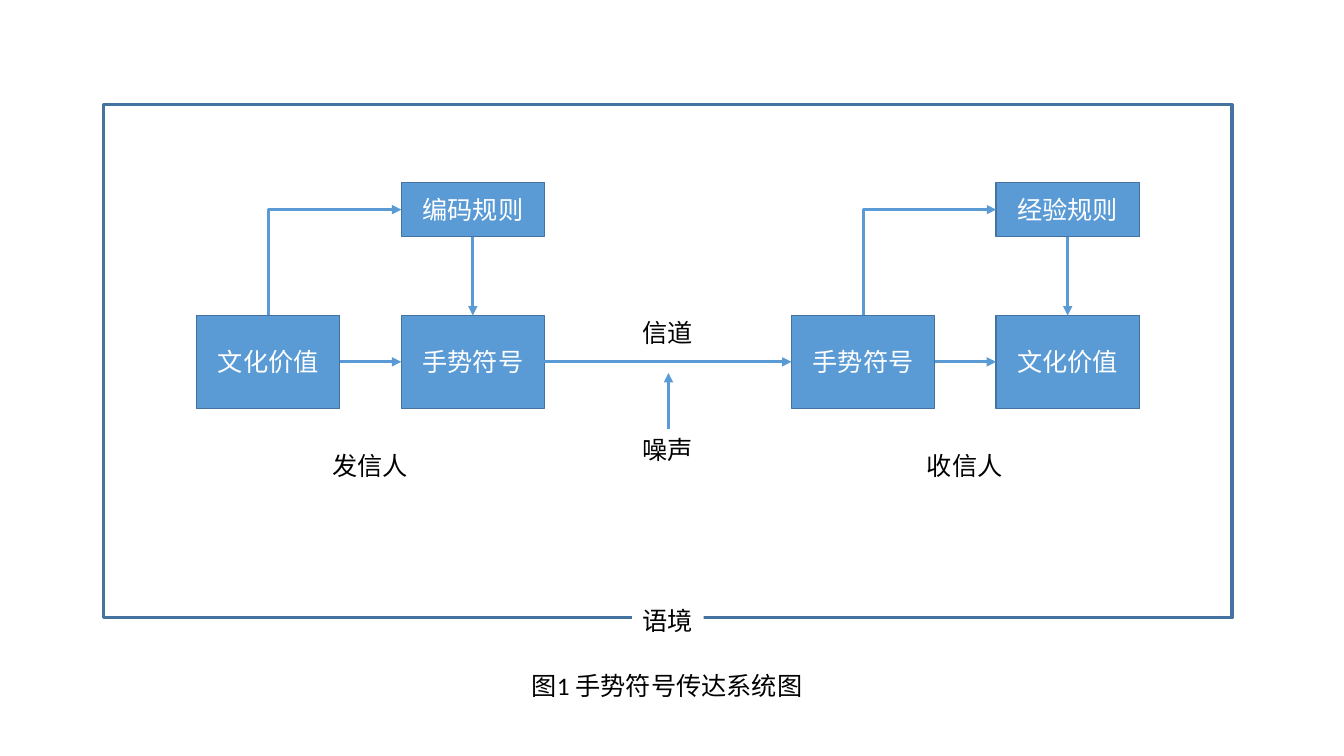
from dataclasses import dataclass

from lxml import etree
from pptx import Presentation
from pptx.dml.color import RGBColor
from pptx.enum.shapes import MSO_CONNECTOR, MSO_SHAPE
from pptx.enum.text import MSO_ANCHOR, MSO_AUTO_SIZE, PP_ALIGN
from pptx.oxml.ns import qn
from pptx.util import Inches, Pt

RECT = MSO_SHAPE.RECTANGLE
STRAIGHT, ELBOW = MSO_CONNECTOR.STRAIGHT, MSO_CONNECTOR.ELBOW
CENTER, MIDDLE = PP_ALIGN.CENTER, MSO_ANCHOR.MIDDLE
FIT_SHAPE = MSO_AUTO_SIZE.SHAPE_TO_FIT_TEXT
TOP, LEFT, BOTTOM, RIGHT = range(4)


@dataclass(frozen=True)
class Theme:
    """Colours, type and line widths of the diagram."""
    blue: RGBColor = RGBColor(0x5B, 0x9B, 0xD5)
    edge: RGBColor = RGBColor(0x43, 0x73, 0x9E)
    white: RGBColor = RGBColor(0xFF, 0xFF, 0xFF)
    black: RGBColor = RGBColor(0, 0, 0)
    font: str = "Calibri"
    size: Pt = Pt(18)
    thin: Pt = Pt(1)
    thick: Pt = Pt(2.25)


THEME = Theme()
NODE_W, NODE_H, RULE_H = 1.42, 0.92, 0.54
LABEL_H = 0.4


def set_text(sp, text, color):
    """Write one line of text in the theme's type."""
    tf = sp.text_frame
    tf.text = text
    font = tf.paragraphs[0].runs[0].font
    font.name, font.size, font.color.rgb = THEME.font, THEME.size, color
    return tf


def add_node(s, text, x, y, h):
    """Draw a filled box with centred text."""
    sp = s.shapes.add_shape(RECT, Inches(x), Inches(y), Inches(NODE_W), Inches(h))
    sp.shadow.inherit = False
    sp.fill.solid()
    sp.fill.fore_color.rgb = THEME.blue
    sp.line.color.rgb, sp.line.width = THEME.edge, THEME.thin
    tf = set_text(sp, text, THEME.white)
    tf.vertical_anchor = MIDDLE
    tf.paragraphs[0].alignment = CENTER
    return sp


def add_label(s, text, center, y, w, wrap=False):
    """Place black text in a box centred on a given x."""
    sp = s.shapes.add_textbox(Inches(center - w / 2), Inches(y), Inches(w), Inches(LABEL_H))
    tf = set_text(sp, text, THEME.black)
    tf.word_wrap, tf.auto_size = wrap, FIT_SHAPE
    return sp


def add_arrow(s, start, side, kind=STRAIGHT):
    """Start an arrow at the middle of a shape's side."""
    c = s.shapes.add_connector(kind, 0, 0, 0, 0)
    c.line.color.rgb, c.line.width = THEME.blue, THEME.thick
    ln = c.line._get_or_add_ln()
    etree.SubElement(ln, qn("a:tailEnd"), type="triangle")
    etree.SubElement(c._element.spPr, qn("a:effectLst"))
    c.begin_connect(start, side)
    return c


def add_corner_arrow(s, start, end):
    """Run an arrow up from a box's top and right to another's left side."""
    c = add_arrow(s, start, TOP, ELBOW)
    c.end_connect(end, LEFT)
    x, y, w, h = c.left, c.top, c.width, c.height
    c.left, c.top = x + (w - h) // 2, y + (h - w) // 2
    c.width, c.height = h, w
    xfrm = c._element.spPr.find(qn("a:xfrm"))
    for name, value in (("rot", "5400000"), ("flipH", "1"), ("flipV", "1")):
        xfrm.set(name, value)
    c._element.spPr.find(qn("a:prstGeom")).set("prst", "bentConnector2")


def add_party(s, box, source, target, rule, role):
    """Draw one side of the exchange and return its two lower boxes."""
    x, y, w, h = box
    right = x + w - NODE_W
    node_y = y + h - NODE_H
    first = add_node(s, source, x, node_y, NODE_H)
    second = add_node(s, target, right, node_y, NODE_H)
    guide = add_node(s, rule, right, y, RULE_H)
    add_arrow(s, first, RIGHT).end_connect(second, LEFT)
    add_arrow(s, guide, BOTTOM).end_connect(second, TOP)
    add_corner_arrow(s, first, guide)
    add_label(s, role, x + w / 2, y + h + 0.37, 0.96)
    return first, second


def add_channel(s, center, y, sender, receiver):
    """Join the parties and show noise entering the channel."""
    add_arrow(s, sender, RIGHT).end_connect(receiver, LEFT)
    add_label(s, "信道", center, y - 0.49, 0.71)
    noise = add_label(s, "噪声", center, y + 0.67, 0.71)
    c = add_arrow(s, noise, TOP)
    c.end_x, c.end_y = Inches(center), Inches(y + 0.11)


def add_context(s, box):
    """Draw the surrounding frame with its name set into the lower edge."""
    x, y, w, h = box
    sp = s.shapes.add_shape(RECT, *map(Inches, box))
    sp.shadow.inherit = False
    sp.fill.background()
    sp.line.color.rgb, sp.line.width = THEME.edge, THEME.thick
    label = add_label(s, "语境", x + w / 2, y + h - 0.17, 0.71)
    label.fill.solid()
    label.fill.fore_color.rgb = THEME.white


def main():
    """Build the diagram slide."""
    prs = Presentation()
    prs.slide_width, prs.slide_height = Inches(13.33), Inches(7.5)
    s = prs.slides.add_slide(prs.slide_layouts[6])
    add_context(s, (1.03, 1.04, 11.19, 5.09))
    party_y, party_w, party_h = 1.81, 3.45, 2.24
    sender = add_party(s, (1.95, party_y, party_w, party_h),
                       "文化价值", "手势符号", "编码规则", "发信人")[1]
    receiver = add_party(s, (7.85, party_y, party_w, party_h),
                         "手势符号", "文化价值", "经验规则", "收信人")[0]
    center = 6.63
    add_channel(s, center, party_y + party_h - NODE_H / 2, sender, receiver)
    add_label(s, "图1 手势符号传达系统图", center, 6.6, 2.91, wrap=True)
    prs.save("out.pptx")


if __name__ == "__main__":
    main()
